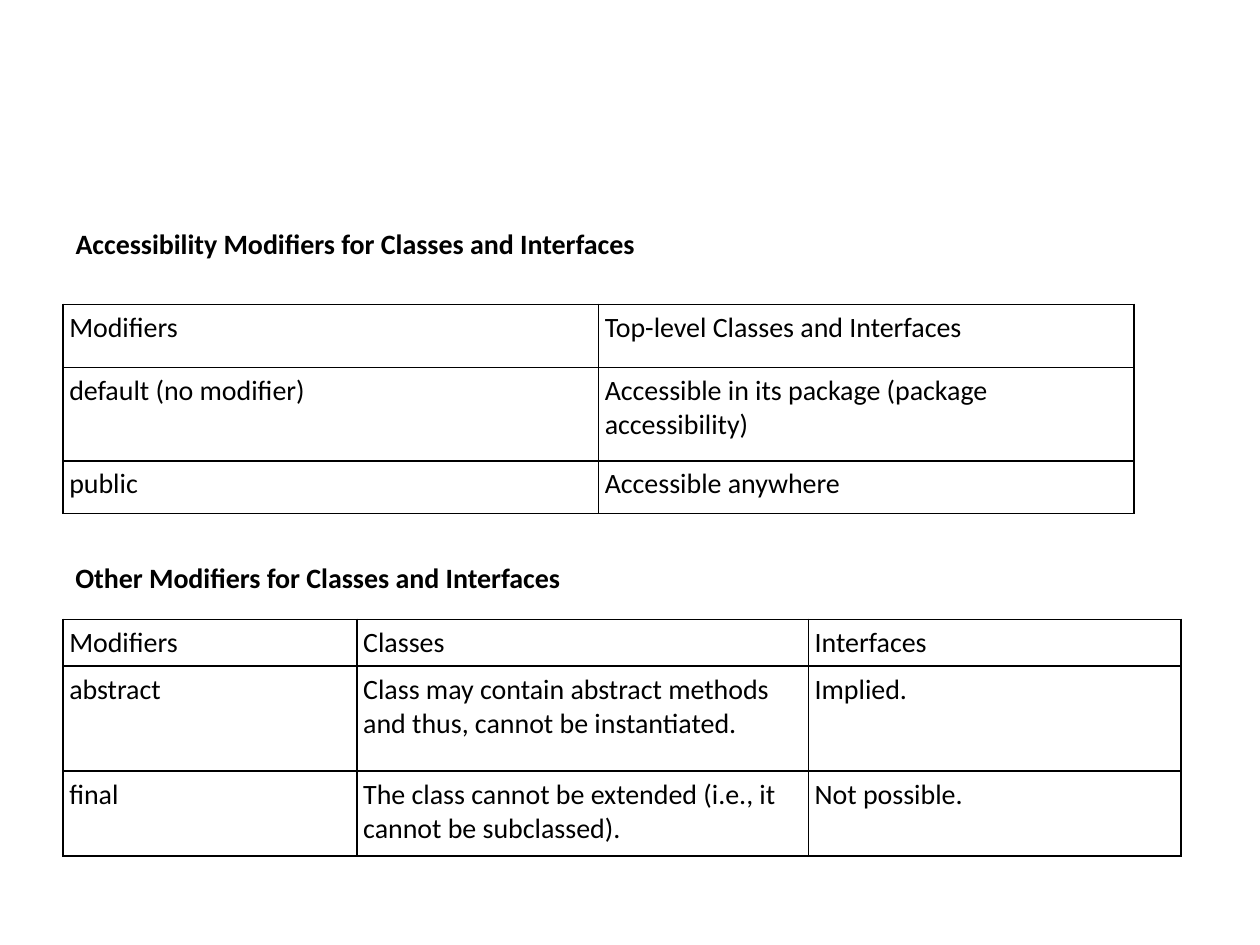
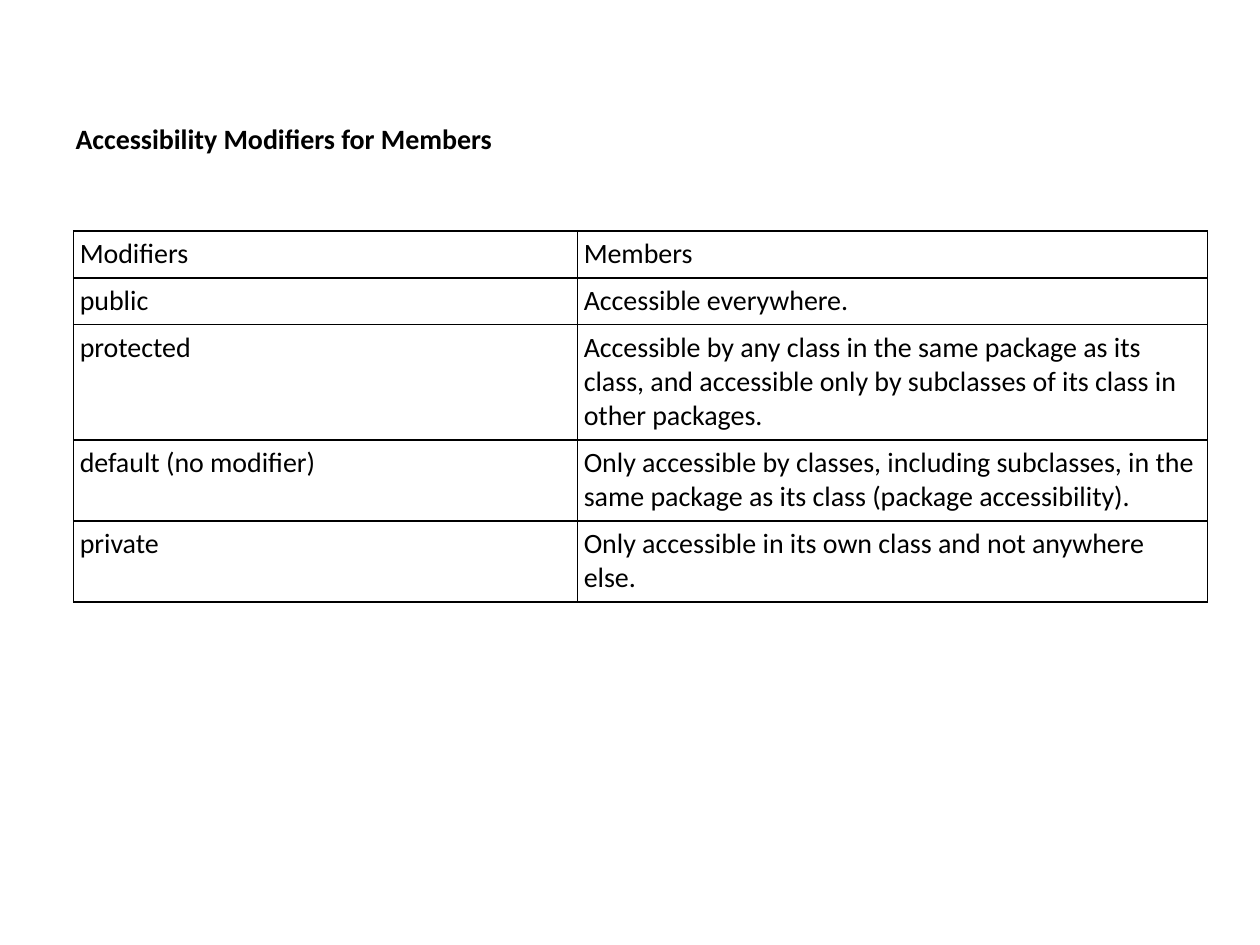
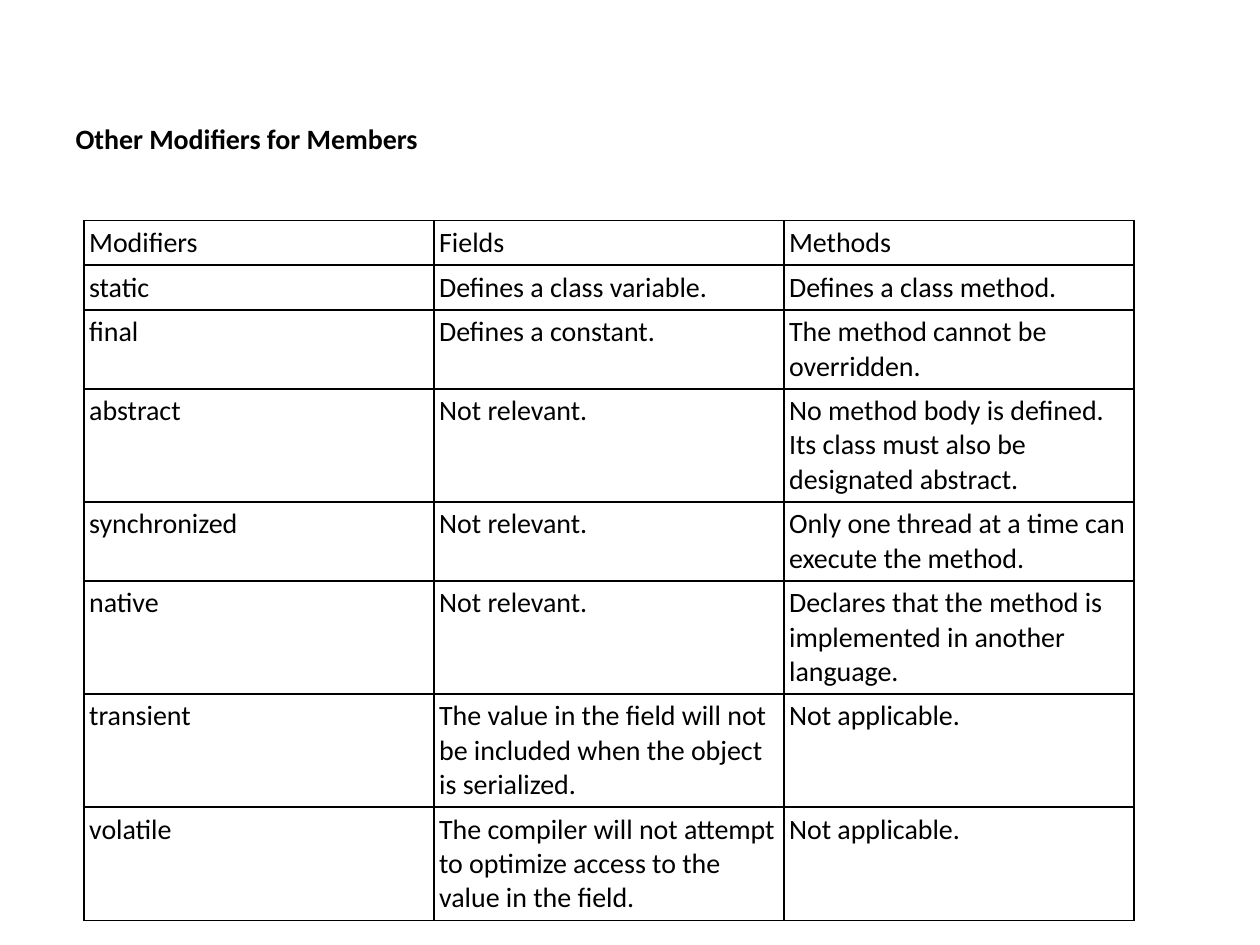
from dataclasses import dataclass

from lxml import etree
from pptx import Presentation
from pptx.dml.color import RGBColor
from pptx.enum.text import MSO_AUTO_SIZE
from pptx.oxml.ns import qn
from pptx.util import Inches, Pt

FIT_SHAPE = MSO_AUTO_SIZE.SHAPE_TO_FIT_TEXT
TITLE_AND_CONTENT = 1


@dataclass(frozen=True)
class Theme:
    font: str = "Calibri"
    size: int = 16
    ink: str = "000000"
    border: int = 1
    line: float = 3.25  # height of one text line, in grid units


THEME = Theme()


def grid(n):
    """Length of n grid units; the slide is 120 by 90 units."""
    return Inches(n / 12)


def style(p, bold=False):
    for r in p.runs:
        r.font.name = THEME.font
        r.font.size = Pt(THEME.size)
        r.font.bold = bold
        r.font.color.rgb = RGBColor.from_string(THEME.ink)


def add_slide(prs, heading, top, bottom=80.4):
    """Add a slide whose body placeholder holds an unbulleted heading."""
    s = prs.slides.add_slide(prs.slide_layouts[TITLE_AND_CONTENT])
    title = s.shapes.title
    title.element.getparent().remove(title.element)
    body = s.placeholders[1]
    body.left, body.top = grid(6), grid(top)
    body.width, body.height = grid(108), grid(bottom - top)
    body.text_frame.text = heading
    p = body.text_frame.paragraphs[0]
    pPr = p._p.get_or_add_pPr()
    pPr.set("marL", "0")
    pPr.set("indent", "0")
    etree.SubElement(pPr, qn("a:buNone"))
    style(p, bold=True)
    return s


def add_subheading(s, text, left, top, width, height):
    sp = s.shapes.add_textbox(grid(left), grid(top), grid(width), grid(height))
    tf = sp.text_frame
    tf.word_wrap = False
    tf.auto_size = FIT_SHAPE
    tf.text = text
    style(tf.paragraphs[0], bold=True)


def set_borders(cell):
    tcPr = cell._tc.get_or_add_tcPr()
    for i, side in enumerate(("lnL", "lnR", "lnT", "lnB")):
        ln = etree.Element(qn(f"a:{side}"), w=str(Pt(THEME.border)))
        fill = etree.SubElement(ln, qn("a:solidFill"))
        etree.SubElement(fill, qn("a:srgbClr"), val=THEME.ink)
        tcPr.insert(i, ln)


def fill_cell(cell, text, inset):
    cell.text = text
    cell.margin_left = cell.margin_right = grid(inset)
    cell.margin_top = cell.margin_bottom = grid(inset)
    cell.fill.background()
    set_borders(cell)
    style(cell.text_frame.paragraphs[0])


def row_heights(line_counts, inset):
    return [n * THEME.line + 2 * inset for n in line_counts]


def add_grid_table(s, left, top, cols, heights, rows, inset=0.6):
    frame = s.shapes.add_table(len(rows), len(cols), grid(left), grid(top),
                               grid(sum(cols)), grid(sum(heights)))
    table = frame.table
    table.first_row = table.horz_banding = False
    for column, width in zip(table.columns, cols):
        column.width = grid(width)
    for row, height, texts in zip(table.rows, heights, rows):
        row.height = grid(height)
        for cell, text in zip(row.cells, texts):
            fill_cell(cell, text, inset)


def class_modifiers(prs):
    s = add_slide(prs, "Accessibility Modifiers for Classes and Interfaces", top=21)
    add_grid_table(s, 6, 29, [51, 51], [6, 8.9, 5], [
        ("Modifiers", "Top-level Classes and Interfaces"),
        ("default (no modifier)", "Accessible in its package (package accessibility)"),
        ("public", "Accessible anywhere"),
    ])
    add_subheading(s, "Other Modifiers for Classes and Interfaces", 6, 52.8, 49.3, 4.4)
    add_grid_table(s, 6, 59, [28, 43, 35.5], [4.45, 10, 8.1], [
        ("Modifiers", "Classes", "Interfaces"),
        ("abstract",
         "Class may contain abstract methods and thus, cannot be instantiated.",
         "Implied."),
        ("final", "The class cannot be extended (i.e., it cannot be subclassed).",
         "Not possible."),
    ])


def member_access(prs):
    s = add_slide(prs, "Accessibility Modifiers for Members", top=11)
    inset = 0.6
    add_grid_table(s, 7, 22, [48, 60], row_heights([1, 1, 3, 2, 2], inset), [
        ("Modifiers", "Members"),
        ("public", "Accessible everywhere."),
        ("protected",
         "Accessible by any class in the same package as its class, and "
         "accessible only by subclasses of its class in other packages."),
        ("default (no modifier)",
         "Only accessible by classes, including subclasses, in the same "
         "package as its class (package accessibility)."),
        ("private", "Only accessible in its own class and not anywhere else."),
    ], inset)


def other_member_modifiers(prs):
    s = add_slide(prs, "Other Modifiers for Members", top=11)
    inset = 0.5
    heights = row_heights([1, 1, 2, 3, 2, 3, 3, 3], inset)
    add_grid_table(s, 8, 21, [100 / 3] * 3, heights, [
        ("Modifiers", "Fields", "Methods"),
        ("static", "Defines a class variable.", "Defines a class method."),
        ("final", "Defines a constant.", "The method cannot be overridden."),
        ("abstract", "Not relevant.",
         "No method body is defined. Its class must also be designated abstract."),
        ("synchronized", "Not relevant.",
         "Only one thread at a time can execute the method."),
        ("native", "Not relevant.",
         "Declares that the method is implemented in another language."),
        ("transient",
         "The value in the field will not be included when the object is serialized.",
         "Not applicable."),
        ("volatile",
         "The compiler will not attempt to optimize access to the value in the field.",
         "Not applicable."),
    ], inset)


def main():
    prs = Presentation()
    prs.slide_width, prs.slide_height = grid(120), grid(90)
    class_modifiers(prs)
    member_access(prs)
    other_member_modifiers(prs)
    prs.save("out.pptx")


if __name__ == "__main__":
    main()
